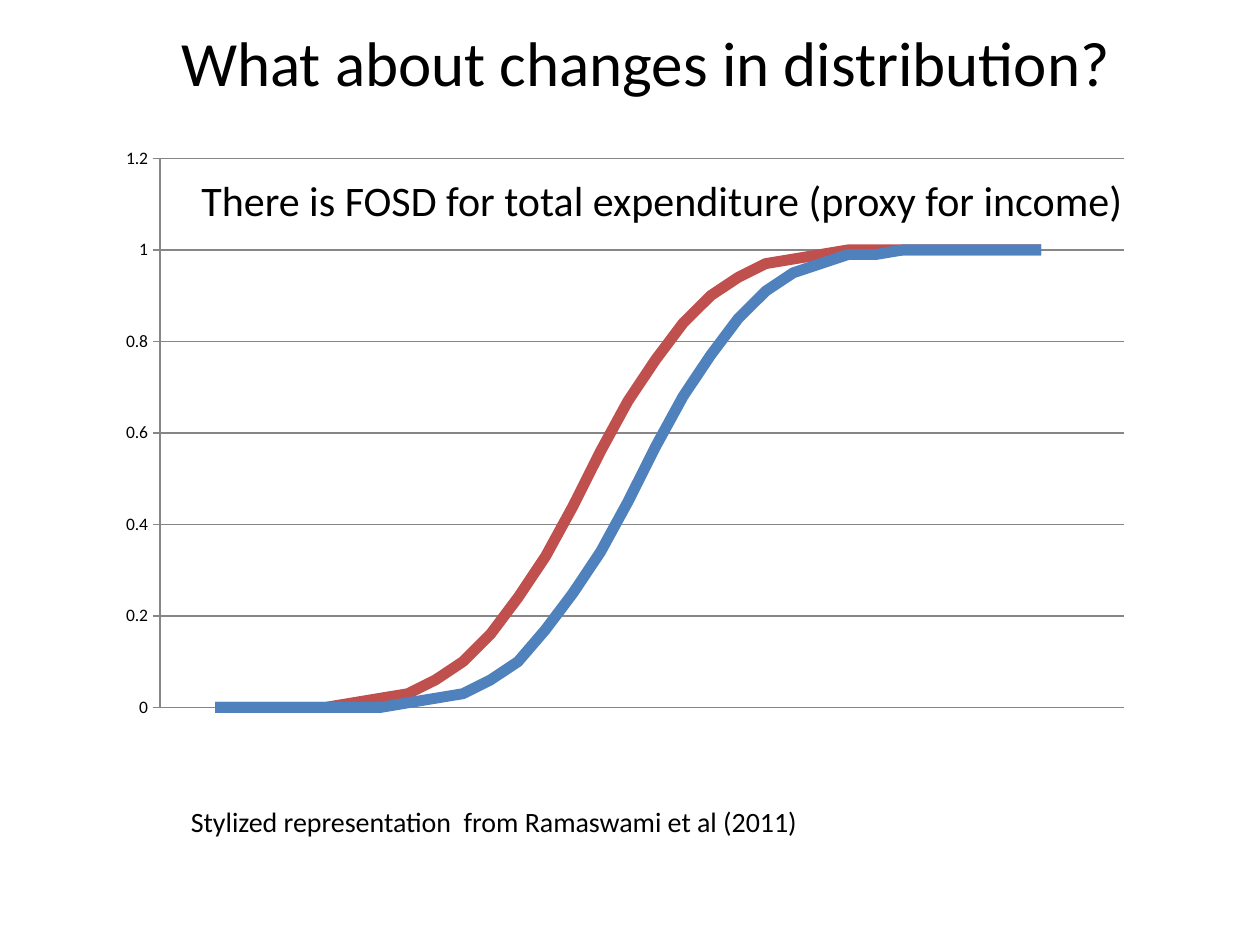
from dataclasses import dataclass

from pptx import Presentation
from pptx.chart.data import XyChartData
from pptx.dml.color import RGBColor
from pptx.enum import chart as ch, text as tx
from pptx.oxml import parse_xml
from pptx.oxml.ns import nsdecls
from pptx.util import Pt

FONT = "Calibri"
COLORS = {"ink": "000000", "grid": "868686", "blue": "4F81BD", "red": "C0504D"}
EXPENDITURE = range(700, 3701, 100)


@dataclass
class Box:
    left: float
    top: float
    width: float
    height: float

    def lengths(self) -> tuple:
        return tuple(Pt(v) for v in (self.left, self.top, self.width, self.height))


@dataclass
class Note:
    wording: str
    box: Box
    size: float


@dataclass
class Curve:
    name: str
    color: str
    shares: list


CURVES = [
    Curve("Series 1", "blue", [0] * 7 + [
        0.01, 0.02, 0.03, 0.06, 0.1, 0.17, 0.25, 0.34, 0.45, 0.57, 0.68,
        0.77, 0.85, 0.91, 0.95, 0.97, 0.99, 0.99] + [1] * 6),
    Curve("Series 2", "red", [0] * 5 + [
        0.01, 0.02, 0.03, 0.06, 0.1, 0.16, 0.24, 0.33, 0.44, 0.56, 0.67,
        0.76, 0.84, 0.9, 0.94, 0.97, 0.98, 0.99] + [1] * 8),
]
TITLE = Note("What about changes in distribution?", Box(30, 9.5, 678, 51), 36)
NOTES = [
    Note("There is FOSD for total expenditure (proxy for income)",
         Box(108, 96, 546, 36), 24),
    Note("Stylized representation  from Ramaswami et al (2011)",
         Box(102, 456, 540, 26.5), 16),
]


def rgb(name: str) -> RGBColor:
    return RGBColor.from_string(COLORS[name])


def style_line(line, color: str, width: float) -> None:
    line.color.rgb = rgb(color)
    line.width = Pt(width)


def write(frame, note: Note) -> None:
    frame.word_wrap = True
    run = frame.paragraphs[0].add_run()
    run.text = note.wording
    run.font.size = Pt(note.size)
    run.font.name = FONT
    run.font.color.rgb = rgb("ink")


def add_title(slide, note: Note) -> None:
    title = slide.shapes.title
    title.left, title.top, title.width, title.height = note.box.lengths()
    write(title.text_frame, note)
    title.text_frame.vertical_anchor = tx.MSO_ANCHOR.MIDDLE
    title.text_frame.paragraphs[0].alignment = tx.PP_ALIGN.CENTER


def add_note(slide, note: Note) -> None:
    write(slide.shapes.add_textbox(*note.box.lengths()).text_frame, note)


def fix_plot_area(chart, x: float, y: float, w: float, h: float) -> None:
    plot_area = chart.plots[0]._element.getparent()
    for layout in plot_area.findall("{*}layout"):
        plot_area.remove(layout)
    plot_area.insert(0, parse_xml(
        f'<c:layout {nsdecls("c")}><c:manualLayout><c:layoutTarget val="inner"/>'
        '<c:xMode val="edge"/><c:yMode val="edge"/>'
        f'<c:x val="{x}"/><c:y val="{y}"/><c:w val="{w}"/><c:h val="{h}"/>'
        '</c:manualLayout></c:layout>'))


def add_distribution(slide, curves: list, box: Box) -> None:
    data = XyChartData()
    for curve in curves:
        series = data.add_series(curve.name)
        for spending, share in zip(EXPENDITURE, curve.shares):
            series.add_data_point(spending, share)
    chart = slide.shapes.add_chart(
        ch.XL_CHART_TYPE.XY_SCATTER_SMOOTH_NO_MARKERS, *box.lengths(), data).chart
    chart.has_legend = chart.has_title = False
    chart.font.size = Pt(10)
    chart.font.name = FONT
    chart.font.color.rgb = rgb("ink")
    chart.plots[0].vary_by_categories = False
    fix_plot_area(chart, 0.053, 0.037, 0.927, 0.927)

    # Axes
    spending_axis, share_axis = chart.category_axis, chart.value_axis
    spending_axis.minimum_scale, spending_axis.maximum_scale = 500, 4000
    spending_axis.has_major_gridlines = False
    spending_axis.visible = False
    share_axis.minimum_scale, share_axis.maximum_scale = 0, 1.2
    share_axis.major_unit = 0.2
    share_axis.has_major_gridlines = True
    share_axis.major_tick_mark = ch.XL_TICK_MARK.OUTSIDE
    share_axis.tick_labels.number_format = "General"
    share_axis.tick_labels.number_format_is_linked = False
    for line in (share_axis.format.line, share_axis.major_gridlines.format.line):
        style_line(line, "grid", 0.75)

    # Curves
    for series, curve in zip(chart.plots[0].series, curves):
        series.smooth = True
        series.marker.style = ch.XL_MARKER_STYLE.NONE
        style_line(series.format.line, curve.color, 6.25)


def main() -> None:
    deck = Presentation()
    deck.slide_width, deck.slide_height = Pt(720), Pt(540)
    slide = deck.slides.add_slide(deck.slide_layouts[5])
    add_title(slide, TITLE)
    add_distribution(slide, CURVES, Box(60, 78, 594, 338.5))
    for note in NOTES:
        add_note(slide, note)
    deck.save("out.pptx")


if __name__ == "__main__":
    main()
